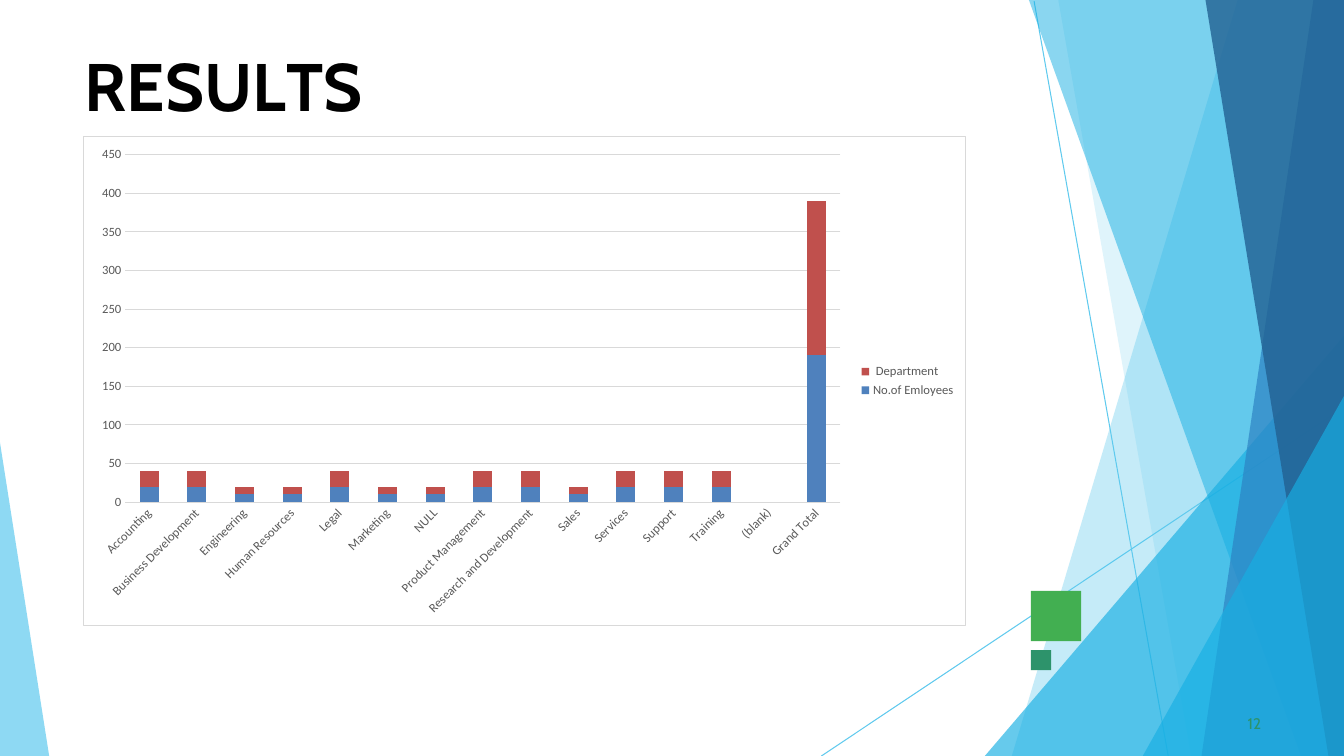
from collections import namedtuple

from lxml import etree
from pptx import Presentation
from pptx.chart.data import CategoryChartData
from pptx.dml.color import RGBColor
from pptx.enum.chart import XL_CHART_TYPE as ChartType, XL_LEGEND_POSITION as LegendPosition
from pptx.enum.chart import XL_TICK_MARK as TickMark
from pptx.enum.shapes import MSO_CONNECTOR as Connector, MSO_SHAPE as Shape
from pptx.oxml import parse_xml
from pptx.oxml.ns import nsdecls, qn
from pptx.util import Cm, Pt

Box = namedtuple("Box", "left top width height")

# start height, reach from the edge at the start, reach at the bottom, colour, opacity
RIGHT_BANDS = [
    (0, 2.68, 8.37, "5FCAEE", 36),
    (0, 7.2, 3.85, "5FCAEE", 20),
    (8.46, 0, 9.05, "17AFE3", 66),
    (0, 7.94, 1.08, "17AFE3", 50),
    (0, 0.77, 3.59, "2D83C3", 70),
    (0, 3.49, 0.39, "226192", 80),
    (9.98, 0, 5.07, "17AFE3", 66),
]
LEFT_BAND = (11.15, 0, -1.24, "5FCAEE", 70)

# department, number of employees, department count
DEPARTMENTS = [
    ("Accounting", 20, 20),
    ("Business Development", 20, 20),
    ("Engineering", 10, 10),
    ("Human Resources", 10, 10),
    ("Legal", 20, 20),
    ("Marketing", 10, 10),
    ("NULL", 10, 10),
    ("Product Management", 20, 20),
    ("Research and Development", 20, 20),
    ("Sales", 10, 10),
    ("Services", 20, 20),
    ("Support", 20, 20),
    ("Training", 20, 20),
    ("(blank)", None, None),
    ("Grand Total", 190, 200),
]
SERIES_COLORS = ["4F81BD", "C0504D"]
TITLE_SPANS = [("R", 0), ("E", -0.4), ("S", 0.1), ("U", -0.3), ("L", -4), ("TS", 0)]


def color(code):
    return RGBColor.from_string(code)


def paint(shape, code, opacity=100):
    shape.shadow.inherit = False
    shape.fill.solid()
    shape.fill.fore_color.rgb = color(code)
    shape.line.fill.background()
    if opacity < 100:
        tint = shape.fill._xPr.find(qn("a:solidFill"))[0]
        etree.SubElement(tint, qn("a:alpha")).set("val", str(opacity * 1000))


def add_band(page, edge, bottom, band):
    """Draw a slanted band that hangs on the vertical line at edge."""
    start, top_reach, bottom_reach, code, opacity = band
    corners = [(edge - top_reach, start), (edge - bottom_reach, bottom), (edge, bottom)]
    builder = page.shapes.build_freeform(Cm(edge), Cm(start))
    builder.add_line_segments([(Cm(x), Cm(y)) for x, y in corners], close=True)
    paint(builder.convert_to_shape(), code, opacity)


def add_backdrop(page, box):
    right, bottom = box.left + box.width, box.top + box.height
    for x1, y1, x2 in [(7.81, 0.03, 4.43), (0, 10.26, 13.17)]:
        line = page.shapes.add_connector(
            Connector.STRAIGHT, Cm(right - x1), Cm(box.top + y1), Cm(right - x2), Cm(bottom))
        line.line.color.rgb = color("5FCAEE")
        line.line.width = Pt(0.75)
        etree.SubElement(line._element.spPr, qn("a:effectLst"))
    for band in RIGHT_BANDS:
        add_band(page, right, bottom, band)
    add_band(page, box.left, bottom, LEFT_BAND)


def add_squares(page, box):
    for top, side, code in [(0, 1.27, "42AF51"), (1.49, 0.51, "2D936B")]:
        square = page.shapes.add_shape(
            Shape.RECTANGLE, Cm(box.left), Cm(box.top + top), Cm(side), Cm(side))
        paint(square, code)


def add_text(page, box, spans, size, code, bold=False, indent=0.03, before=0):
    """Place one paragraph of (text, letter spacing in points) spans."""
    frame = page.shapes.add_textbox(*map(Cm, box)).text_frame
    frame.word_wrap = True
    frame.margin_left = frame.margin_right = frame.margin_bottom = 0
    frame.margin_top = Cm(0.03)
    para = frame.paragraphs[0]
    para.space_before = Pt(before)
    para._p.get_or_add_pPr().set("marL", str(Cm(indent)))
    for text, spacing in spans:
        span = para.add_run()
        span.text = text
        span.font.name = "Cabin"
        span.font.size = Pt(size)
        span.font.bold = bold
        span.font.color.rgb = color(code)
        span.font._element.set("spc", str(round(spacing * 100)))


def style_font(font, size=9, code="595959"):
    font.name = "Calibri"
    font.size = Pt(size)
    font.color.rgb = color(code)


def frame_chart(chart):
    """Give the chart its white ground, grey border and fixed plot area."""
    ground = parse_xml(
        f'<c:spPr {nsdecls("c", "a")}><a:solidFill><a:srgbClr val="FFFFFF"/></a:solidFill>'
        '<a:ln w="9525"><a:solidFill><a:srgbClr val="D9D9D9"/></a:solidFill></a:ln></c:spPr>')
    chart._chartSpace.find(qn("c:chart")).addnext(ground)
    plot_area = chart._chartSpace.find(".//" + qn("c:plotArea"))
    for old in plot_area.findall(qn("c:layout")):
        plot_area.remove(old)
    plot_area.insert(0, parse_xml(
        f'<c:layout {nsdecls("c")}><c:manualLayout><c:layoutTarget val="inner"/>'
        '<c:xMode val="edge"/><c:yMode val="edge"/><c:x val="0.047"/><c:y val="0.037"/>'
        '<c:w val="0.811"/><c:h val="0.711"/></c:manualLayout></c:layout>'))


def add_results_chart(page, box):
    names, employees, counts = zip(*DEPARTMENTS)
    data = CategoryChartData()
    data.categories = names
    data.add_series("No.of Emloyees", employees)
    data.add_series(" Department", counts)
    chart = page.shapes.add_chart(ChartType.COLUMN_STACKED, *map(Cm, box), data).chart
    style_font(chart.font, 10, "000000")
    chart.has_title = False
    chart.has_legend = True
    chart.legend.position = LegendPosition.RIGHT
    chart.legend.include_in_layout = False
    style_font(chart.legend.font)

    plot = chart.plots[0]
    plot.gap_width, plot.overlap, plot.vary_by_categories = 150, 100, False
    for series, code in zip(plot.series, SERIES_COLORS):
        series.format.fill.solid()
        series.format.fill.fore_color.rgb = color(code)

    for axis in (chart.category_axis, chart.value_axis):
        axis.major_tick_mark = axis.minor_tick_mark = TickMark.NONE
        axis.format.line.fill.background()
        style_font(axis.tick_labels.font)
    label_body = chart.category_axis._element.find(qn("c:txPr")).find(qn("a:bodyPr"))
    label_body.set("rot", "-2700000")
    values = chart.value_axis
    values.minimum_scale, values.maximum_scale, values.major_unit = 0, 450, 50
    values.has_major_gridlines = True
    values.major_gridlines.format.line.color.rgb = color("D9D9D9")
    values.major_gridlines.format.line.width = Pt(0.75)
    frame_chart(chart)


def main():
    deck = Presentation()
    deck.slide_width, deck.slide_height = Cm(33.87), Cm(19.05)
    page = deck.slides.add_slide(deck.slide_layouts[6])
    add_backdrop(page, Box(0, 0, 33.87, 19.05))
    add_squares(page, Box(25.98, 14.89, 1.27, 2))
    add_text(page, Box(2.11, 1.09, 9.65, 1.65), TITLE_SPANS, 48, "000000", bold=True, before=1.1)
    add_text(page, Box(31.34, 17.96, 0.64, 0.38), [("12", 0.1)], 11, "2D936B",
             indent=0.1, before=0.6)
    add_results_chart(page, Box(2.1, 3.43, 22.25, 12.34))
    deck.save("out.pptx")


if __name__ == "__main__":
    main()
